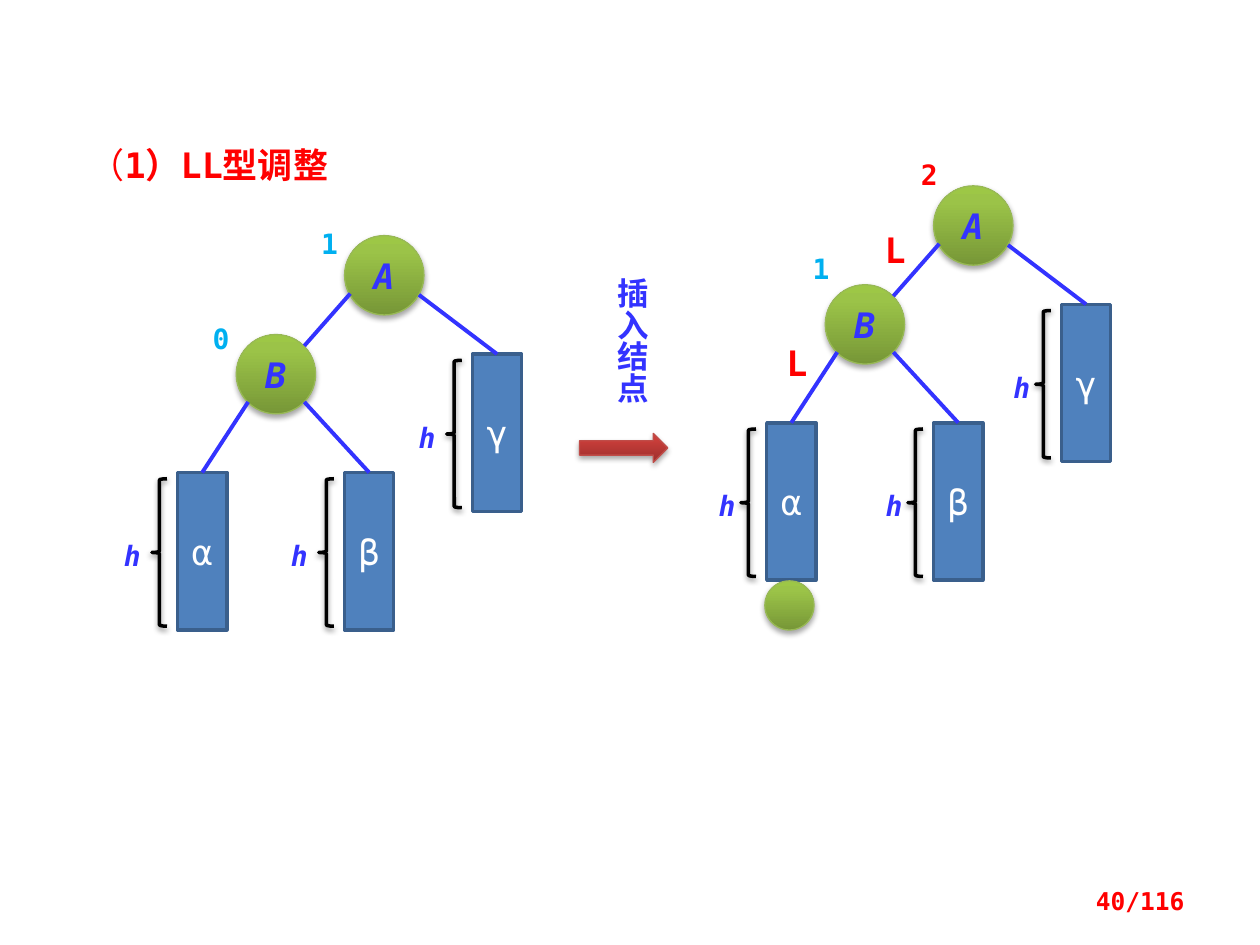
from dataclasses import dataclass

from lxml.etree import SubElement as Sub
from pptx import Presentation
from pptx.dml.color import RGBColor as Rgb
from pptx.enum.shapes import MSO_CONNECTOR as Conn, MSO_SHAPE as Kind
from pptx.enum.text import MSO_ANCHOR as Anchor, MSO_AUTO_SIZE as Auto, PP_ALIGN as Align
from pptx.oxml.ns import qn
from pptx.util import Inches, Pt

MONO, HAN = "DejaVu Sans Mono", "Noto Sans CJK SC"
HEX = {
    "red": "FF0000", "blue": "3333FF", "cyan": "00B0F0", "white": "FFFFFF",
    "black": "000000", "bar": "4F81BD", "edge": "3A5F8C",
    "leaf": "98B955", "rust": "BF4C48",
}
# Gradient stops from the bottom up: percent and colour
GREEN = ((0, "779737"), (80, "9BC348"), (100, "9DC746"))
RUST = ((0, "9C2F2D"), (80, "CB3E3A"), (100, "CE3B37"))

prs = Presentation()
prs.slide_width, prs.slide_height = Inches(10), Inches(7.5)
CELL = prs.slide_width / 100  # grid of 100 columns by 75 rows
slide = prs.slides.add_slide(prs.slide_layouts[5])
shapes = slide.shapes


@dataclass
class Tag:
    text: str
    col: float
    row: float
    tone: str
    size: int = 16
    tall: float = 2.7


@dataclass
class Tree:
    col: float  # left of the alpha bar
    row: float  # top of the alpha bar
    gap: float  # from the h label to its bar


def grid(*cells: float) -> list[int]:
    return [round(c * CELL) for c in cells]


def write(shape, text: str, *, tone="blue", size=20, font=MONO, bold=True,
          slant=False, align=Align.CENTER, anchor=Anchor.TOP, inset=None):
    frame = shape.text_frame
    frame.word_wrap, frame.auto_size = True, Auto.NONE
    frame.vertical_anchor = anchor
    if inset is not None:
        frame.margin_left = frame.margin_right = inset
        frame.margin_top = frame.margin_bottom = inset
    para = frame.paragraphs[0]
    para.alignment = align
    # A leading full-width bracket stays regular
    parts = [("（", False), (text[1:], bold)] if text[0] == "（" else [(text, bold)]
    for part, heavy in parts:
        run = para.add_run()
        run.text = part
        face = run.font
        face.size, face.bold, face.italic = Pt(size), heavy, slant
        face.name = font
        face.color.rgb = Rgb.from_string(HEX[tone])
        Sub(run._r.rPr, qn("a:ea"), typeface=HAN)


def label(text: str, col: float, row: float, wide: float, tall: float, **fmt):
    box = shapes.add_textbox(*grid(col, row, wide, tall))
    write(box, text, **fmt)
    return box


def shade(shape, alpha: int, drop: float):
    """Soft shadow straight below the shape."""
    fx = Sub(shape._element.spPr, qn("a:effectLst"))
    cast = Sub(fx, qn("a:outerShdw"), blurRad=str(Pt(3.15)), dist=str(Pt(drop)),
               dir="5400000", rotWithShape="0")
    hue = Sub(cast, qn("a:srgbClr"), val=HEX["black"])
    Sub(hue, qn("a:alpha"), val=str(alpha * 1000))


def form(kind, cells: tuple, line: str, width: float, fill=None):
    shape = shapes.add_shape(kind, *grid(*cells))
    shape.line.color.rgb = Rgb.from_string(HEX[line])
    shape.line.width = Pt(width)
    if fill:
        shape.fill.solid()
        shape.fill.fore_color.rgb = Rgb.from_string(HEX[fill])
    else:
        shape.fill.background()
    return shape


def glow(kind, cells: tuple, line: str, stops: tuple):
    """Shape with a vertical gradient and a shadow."""
    shape = form(kind, cells, line, 0.75)
    old = shape._element.spPr.find(qn("a:noFill"))
    grad = old.makeelement(qn("a:gradFill"), {"rotWithShape": "1"})
    old.getparent().replace(old, grad)
    marks = Sub(grad, qn("a:gsLst"))
    for spot, tone in stops:
        Sub(Sub(marks, qn("a:gs"), pos=str(spot * 1000)), qn("a:srgbClr"), val=tone)
    Sub(grad, qn("a:lin"), ang="16200000", scaled="0")
    shade(shape, 35, 1.8)
    return shape


def node(name: str, col: float, row: float):
    ball = glow(Kind.OVAL, (col, row, 6.3, 6.3), "leaf", GREEN)
    write(ball, name, slant=True, anchor=Anchor.MIDDLE)


def bar(name: str, col: float, row: float, gap: float):
    """Subtree of height h with its brace; returns the bar."""
    rect = form(Kind.RECTANGLE, (col, row, 3.9, 12.5), "edge", 2, "bar")
    rect.shadow.inherit = False
    write(rect, name, tone="white", bold=False, anchor=Anchor.MIDDLE)
    brace = form(Kind.LEFT_BRACE, (col - 2.05, row + 0.5, 1.2, 11.7), "black", 2)
    shade(brace, 38, 1.6)
    label("h", col - gap, row + 5.25, 3.9, 2.7, size=16, slant=True, inset=0)
    return rect


def link(start: tuple, end: tuple, rect=None):
    line = shapes.add_connector(Conn.STRAIGHT, *grid(*start, *end))
    if rect is not None:
        line.end_connect(rect, 0)
    line.line.color.rgb = Rgb.from_string(HEX["blue"])
    line.line.width = Pt(2.25)
    Sub(line._element.spPr, qn("a:effectLst"))


def plant(tree: Tree):
    def at(col: float, row: float) -> tuple:
        return tree.col + col, tree.row + row

    alpha = bar("α", *at(0, 0), tree.gap)
    beta = bar("β", *at(13.25, 0), tree.gap)
    node("B", *at(4.65, -10.95))
    node("A", *at(13.25, -18.8))
    gamma = bar("γ", *at(23.4, -9.4), tree.gap)
    for start, end, rect in (
        ((5.6, -5.6), (1.95, 0), alpha),
        ((10.05, -5.6), (15.2, 0), beta),
        ((19.15, -14.1), (25.35, -9.4), gamma),
        ((13.7, -14.2), (10.05, -10.05), None),
    ):
        link(at(*start), at(*end), rect)


# Heading
head = shapes.title
head.left, head.top, head.width, head.height = grid(6.1, 10.9, 25.1, 4.4)
write(head, "（1）LL型调整", tone="red", align=Align.LEFT)

# Trees before and after the insertion
for tree in (Tree(14.1, 37.5, 5.55), Tree(60.85, 33.55, 5.1)):
    plant(tree)

# Inserted node
glow(Kind.OVAL, (60.7, 46.1, 3.9, 3.9), "leaf", GREEN)

# Balance factors and the LL path
for tag in (
    Tag("1", 24.2, 18, "cyan"),
    Tag("0", 15.6, 25.5, "cyan"),
    Tag("2", 71.8, 12.5, "red"),
    Tag("1", 63.2, 20, "cyan"),
    Tag("L", 61.3, 27.1, "red", 20, 3.4),
    Tag("L", 69.1, 18.1, "red", 20, 3.4),
):
    label(tag.text, tag.col, tag.row, 3.9, tag.tall, tone=tag.tone, size=tag.size, inset=0)

# Step between the trees
glow(Kind.RIGHT_ARROW, (46, 34.4, 7, 2.3), "rust", RUST)
step = label("插入结点", 47.2, 21.1, 5, 12.5, size=18, font=HAN)
step.text_frame._txBody.bodyPr.set("vert", "eaVert")

# Page number
label("40/116", 71.7, 69.5, 23.3, 4, tone="red", size=14, align=Align.RIGHT,
      anchor=Anchor.MIDDLE)

prs.save("out.pptx")
